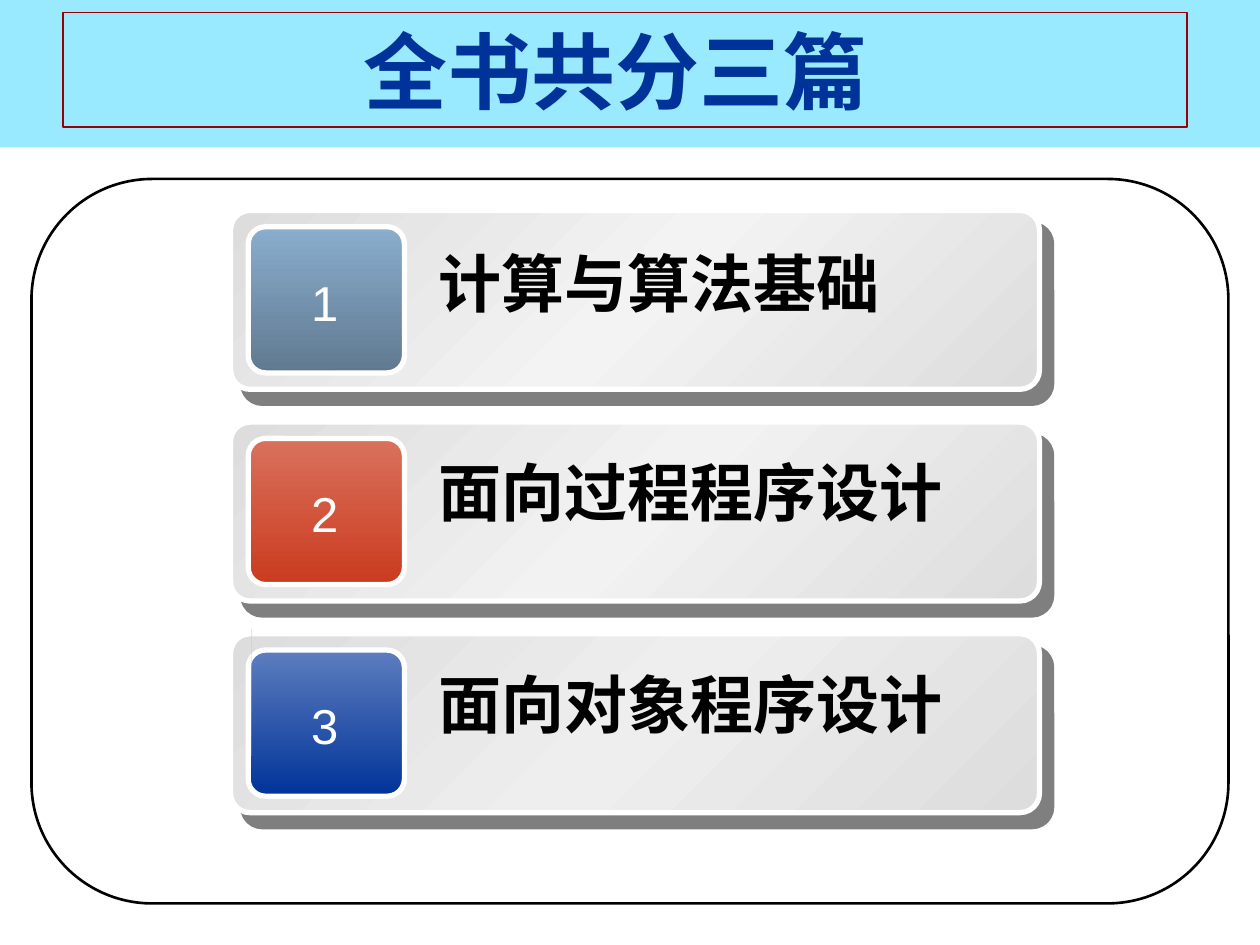
from lxml.etree import SubElement
from pptx import Presentation
from pptx.dml.color import RGBColor
from pptx.enum.shapes import MSO_SHAPE as Shape
from pptx.enum.text import MSO_ANCHOR as Anchor, MSO_AUTO_SIZE as AutoSize, PP_ALIGN as Align
from pptx.oxml.ns import qn
from pptx.util import Inches, Pt

# Content: label, label offset in the row, middle tone of the bar,
# tile gradient, gloss gradient as (position, colour, opacity)
TITLE = "全书共分三篇 "
PARTS = [
    ("计算与算法基础", 0.22, "F3F3F3", ("8AAECE", "607990"),
     [(0, "BFD3E4", 100), (50, "8AAECE", 0), (100, "BFD3E4", 100)]),
    ("面向过程程序设计", 0.2, "F2F2F2", ("D9715C", "CA3B1E"),
     [(0, "E9ACA0", 100), (100, "CA3B1E", 0)]),
    ("面向对象程序设计", 0.2, "EEEEEE", ("5D7DBE", "003399"),
     [(0, "839CCD", 100), (100, "003399", 0)]),
]

# Layout in inches
WIDTH, HEIGHT = 10, 7.5
ROW_LEFT, ROW_TOP, ROW_PITCH = 1.83, 1.67, 1.68
BAR_SIZE, TILE_SIZE = (6.42, 1.42), (1.24, 1.16)
# Gloss outline, relative to the row: start, then Bezier or straight segments
GLOSS = [
    [(0.34, 0.2)],
    [(0.28, 0.2), (0.22, 0.25), (0.22, 0.32)],
    [(0.22, 0.77)],
    [(0.25, 0.78), (0.23, 0.5), (0.39, 0.37)],
    [(0.54, 0.24), (0.84, 0.23), (0.83, 0.2)],
]


def color(value):
    return RGBColor.from_string(value)


def set_gradient(shape, stops, angle):
    shape.fill.solid()
    properties = shape._element.spPr
    gradient = properties.makeelement(qn("a:gradFill"), {"rotWithShape": "1"})
    stop_list = SubElement(gradient, qn("a:gsLst"))
    for position, value, opacity in stops:
        stop = SubElement(stop_list, qn("a:gs"), pos=str(position * 1000))
        tone = SubElement(stop, qn("a:srgbClr"), val=value)
        if opacity < 100:
            SubElement(tone, qn("a:alpha"), val=str(opacity * 1000))
    SubElement(gradient, qn("a:lin"), ang=str(angle * 60000), scaled="0")
    properties.replace(properties.find(qn("a:solidFill")), gradient)


def add_box(shapes, kind, left, top, width, height, line=None, weight=1, corner=None):
    box = shapes.add_shape(kind, Inches(left), Inches(top), Inches(width), Inches(height))
    box.shadow.inherit = False
    box.fill.background()
    if line:
        box.line.color.rgb = color(line)
        box.line.width = Pt(weight)
    else:
        box.line.fill.background()
    if corner is not None:
        box.adjustments[0] = corner
    return box


def add_drop_shadow(shape):
    effects = shape._element.spPr.find(qn("a:effectLst"))
    shadow = SubElement(effects, qn("a:outerShdw"), blurRad="0", dist=str(Pt(10.6)),
                        dir=str(49 * 60000), algn="ctr", rotWithShape="0")
    tone = SubElement(shadow, qn("a:srgbClr"), val="000000")
    SubElement(tone, qn("a:alpha"), val="50000")


def write(shape, text, size, font="Arial", tone="000000", bold=False,
          align=Align.LEFT, anchor=Anchor.TOP, wrap=True):
    frame = shape.text_frame
    frame.word_wrap = wrap
    frame.auto_size = AutoSize.SHAPE_TO_FIT_TEXT
    frame.vertical_anchor = anchor
    para = frame.paragraphs[0]
    para.alignment = align
    span = para.add_run()
    span.text = text
    span.font.size, span.font.name, span.font.bold = Pt(size), font, bold
    span.font.color.rgb = color(tone)


def add_text(shapes, left, top, width, height, text, size, **style):
    box = shapes.add_textbox(Inches(left), Inches(top), Inches(width), Inches(height))
    write(box, text, size, **style)


def trace(segments, steps=12):
    """Turn the outline into points, sampling each Bezier curve."""
    points = list(segments[0])
    for segment in segments[1:]:
        if len(segment) == 1:
            points += segment
            continue
        controls = [points[-1], *segment]
        for step in range(1, steps + 1):
            t = step / steps
            weights = ((1 - t) ** 3, 3 * t * (1 - t) ** 2, 3 * t * t * (1 - t), t ** 3)
            points.append(tuple(sum(w * c[axis] for w, c in zip(weights, controls))
                                for axis in (0, 1)))
    return points


def add_gloss(shapes, left, top, stops):
    points = [(left + x, top + y) for x, y in trace(GLOSS)]
    builder = shapes.build_freeform(*points[0], scale=Inches(1))
    builder.add_line_segments(points[1:], close=True)
    gloss = builder.convert_to_shape()
    gloss.shadow.inherit = False
    gloss.line.fill.background()
    set_gradient(gloss, stops, 45)


def add_part(slide, index, part):
    label, label_offset, middle, tile_tones, gloss_stops = part
    top = ROW_TOP + index * ROW_PITCH
    shapes = slide.shapes.add_group_shape().shapes

    bar = add_box(shapes, Shape.ROUNDED_RECTANGLE, ROW_LEFT, top, *BAR_SIZE,
                  line="FFFFFF", weight=3, corner=0.109)
    set_gradient(bar, [(0, "DDDDDD", 100), (50, middle, 100), (100, "DDDDDD", 100)], 45)
    add_drop_shadow(bar)

    tile = add_box(shapes, Shape.ROUNDED_RECTANGLE, ROW_LEFT + 0.14, top + 0.13, *TILE_SIZE,
                   line="FFFFFF", weight=3, corner=0.119)
    set_gradient(tile, [(0, tile_tones[0], 100), (100, tile_tones[1], 100)], 90)
    add_gloss(shapes, ROW_LEFT, top, gloss_stops)

    add_text(shapes, ROW_LEFT + 0.54, top + 0.44, 0.41, 0.57, str(index + 1), 28,
             tone="FFFFFF", align=Align.CENTER, wrap=False)
    add_text(shapes, ROW_LEFT + 1.55, top + label_offset, 4.72, 0.7, label, 36, bold=True)


def main():
    deck = Presentation()
    deck.slide_width, deck.slide_height = Inches(WIDTH), Inches(HEIGHT)
    slide = deck.slides.add_slide(deck.slide_layouts[5])

    # Frame and header band
    add_box(slide.shapes, Shape.FLOWCHART_ALTERNATE_PROCESS, 0.25, 1.42, 9.5, 5.75,
            line="000000", weight=1.5)
    band = add_box(slide.shapes, Shape.RECTANGLE, 0, 0, WIDTH, 1.17)
    band.fill.solid()
    band.fill.fore_color.rgb = color("00CCFF")
    tone = band._element.spPr.find(qn("a:solidFill"))[0]
    SubElement(tone, qn("a:alpha"), val="40000")

    # Title, moved in front of the band
    title = slide.shapes.title
    title.left, title.top, title.width, title.height = map(Inches, (0.5, 0.1, 8.92, 0.91))
    title.line.color.rgb = color("990000")
    title.line.width = Pt(1)
    write(title, TITLE, 48, font="Courier New", tone="003399", bold=True,
          align=Align.CENTER, anchor=Anchor.MIDDLE)
    band._element.addnext(title._element)

    # Numbered parts
    for index, part in enumerate(PARTS):
        add_part(slide, index, part)

    deck.save("out.pptx")


if __name__ == "__main__":
    main()
